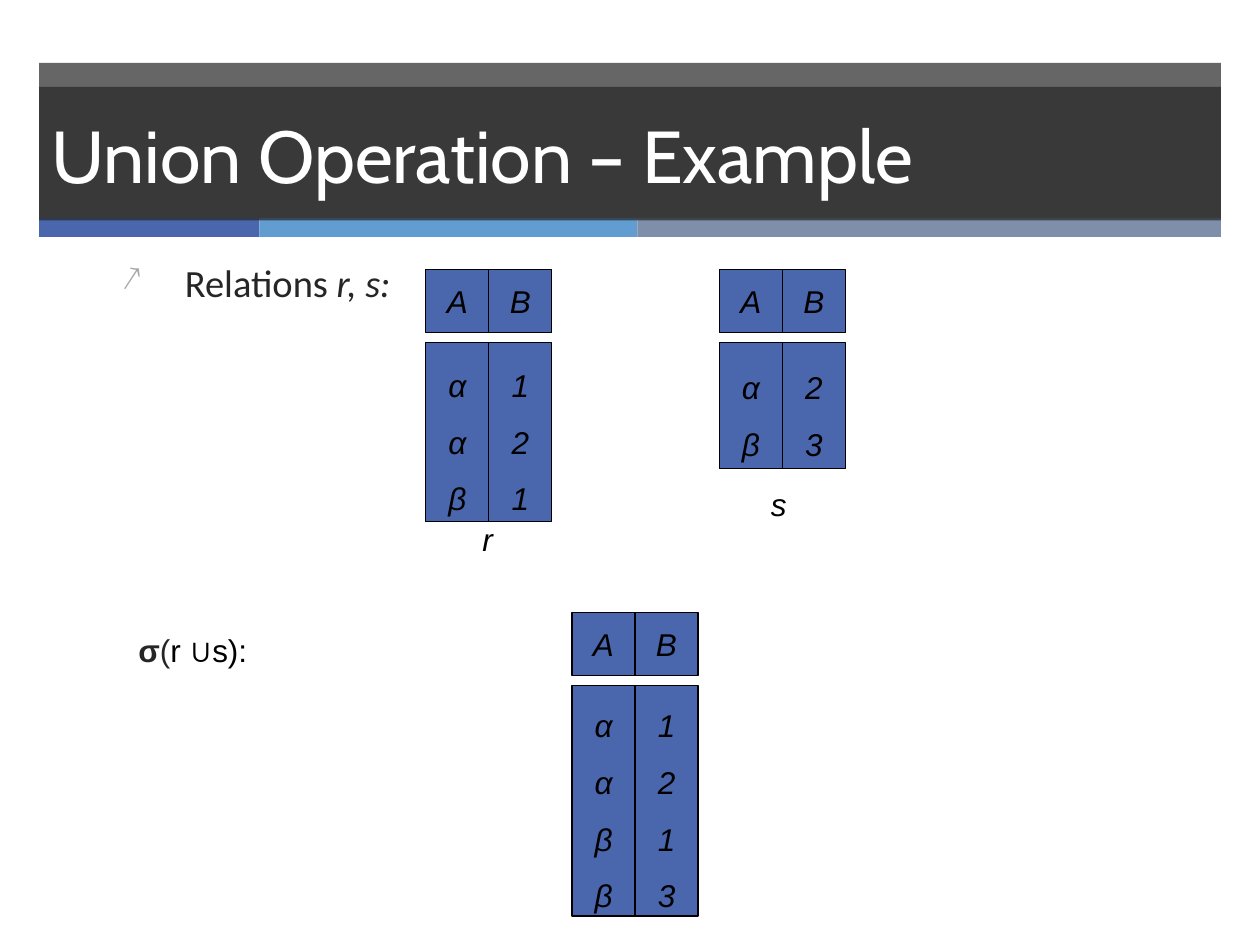
import pptx
import pptx.util
import pptx.dml.color
import pptx.enum.shapes
import pptx.enum.text
import pptx.oxml
import pptx.oxml.ns

Inches = pptx.util.Inches
Pt = pptx.util.Pt
RGBColor = pptx.dml.color.RGBColor
ANCHOR = pptx.enum.text.MSO_ANCHOR
ALIGN = pptx.enum.text.PP_ALIGN
qn = pptx.oxml.ns.qn
NS = pptx.oxml.ns.nsdecls("a")

DARK = RGBColor(0x26, 0x26, 0x26)
BLUE = RGBColor(0x4A, 0x66, 0xAC)
SKY = RGBColor(0x62, 0x9D, 0xD1)
SLATE = RGBColor(0x7F, 0x8F, 0xA9)
WHITE = RGBColor(0xFF, 0xFF, 0xFF)
BLACK = RGBColor(0, 0, 0)

deck = pptx.Presentation()
deck.slide_width = Inches(10)
deck.slide_height = Inches(7.5)
slide = deck.slides.add_slide(deck.slide_layouts[6])


def add_box(left, top, width, height, fill=None):
    """Add a filled rectangle, or a text box when there is no fill."""
    area = Inches(left), Inches(top), Inches(width), Inches(height)
    if fill is None:
        return slide.shapes.add_textbox(*area)
    box = slide.shapes.add_shape(pptx.enum.shapes.MSO_SHAPE.RECTANGLE, *area)
    box.shadow.inherit = False
    box.fill.solid()
    box.fill.fore_color.rgb = fill
    box.line.fill.background()
    return box


def add_run(para, text, size=18, font="Arial", color=BLACK, bold=False, italic=False):
    """Append one styled run to a paragraph."""
    run = para.add_run()
    run.text = text
    run.font.size = Pt(size)
    run.font.name = font
    run.font.color.rgb = color
    run.font.bold = bold
    run.font.italic = italic


# Title band with its coloured strip
band = add_box(0.31, 0.5, 9.38, 1.24, DARK)
left = 0.31
for width, color in [(1.75, BLUE), (3, SKY), (4.63, SLATE)]:
    add_box(left, 1.73, width, 0.15, color)
    left += width
title = add_box(0.31, 0.69, 9.38, 1.06, DARK)
for box in (band, title):
    tint = box.fill._xPr.find(qn("a:solidFill"))[0]
    tint.append(pptx.oxml.parse_xml(f'<a:alpha {NS} val="70000"/>'))
title.text_frame.word_wrap = True
title.text_frame.vertical_anchor = ANCHOR.MIDDLE
para = title.text_frame.paragraphs[0]
para.alignment = ALIGN.LEFT
add_run(para, "Union Operation – Example", 42, "Cabin", WHITE)

# Bulleted line
frame = add_box(0.87, 2.11, 7.5, 0.36).text_frame
frame.word_wrap = True
para = frame.paragraphs[0]
para.line_spacing = 0.7
para.space_before = Pt(20)
props = para._p.get_or_add_pPr()
props.set("marL", str(Inches(0.5)))
props.set("indent", str(-Inches(0.5)))
for mark in (
    f'<a:buClr {NS}><a:srgbClr val="A6A6A6"/></a:buClr>',
    f'<a:buSzPct {NS} val="90000"/>',
    f'<a:buChar {NS} char="↗"/>',
):
    props.append(pptx.oxml.parse_xml(mark))
add_run(para, "Relations ", 22, "Calibri", DARK)
add_run(para, "r, s:", 22, "Calibri", DARK, italic=True)

# Union expression
frame = add_box(1, 4.99, 1.71, 0.36).text_frame
frame.word_wrap = True
para = frame.paragraphs[0]
para.line_spacing = 0.9
para.space_before = Pt(7.9)
add_run(para, "σ", color=DARK, bold=True)
add_run(para, "(", color=DARK)
add_run(para, "r ∪s):")

# Relations: a header cell above a tall cell for each column
CELL = 0.5
tables = [
    (3.38, 2.14, 1.42, ["ααβ", "121"]),
    (5.71, 2.14, 1, ["αβ", "23"]),
    (4.54, 4.86, 1.83, ["ααββ", "1213"]),
]
for left, top, height, columns in tables:
    for col, (head, body) in enumerate(zip("AB", columns)):
        x = left + col * CELL
        for y, tall, text, space in [
            (top, CELL, head, 1),
            (top + 0.58, height, body, 1.5),
        ]:
            box = add_box(x, y, CELL, tall, BLUE)
            box.line.color.rgb = BLACK
            box.line.width = Pt(0.74)
            frame = box.text_frame
            frame.word_wrap = False
            frame.vertical_anchor = ANCHOR.MIDDLE
            for row, value in enumerate(text):
                para = frame.add_paragraph() if row else frame.paragraphs[0]
                para.alignment = ALIGN.CENTER
                para.line_spacing = float(space)
                add_run(para, value, italic=True)

# Relation names
for name, left, top, width in [("r", 3.73, 4.08, 0.28), ("s", 6.02, 3.8, 0.32)]:
    frame = add_box(left, top, width, 0.4).text_frame
    frame.word_wrap = False
    frame.auto_size = pptx.enum.text.MSO_AUTO_SIZE.SHAPE_TO_FIT_TEXT
    frame.vertical_anchor = ANCHOR.MIDDLE
    para = frame.paragraphs[0]
    para.alignment = ALIGN.CENTER
    para.space_before = Pt(11.2)
    add_run(para, name, italic=True)

deck.save("out.pptx")
